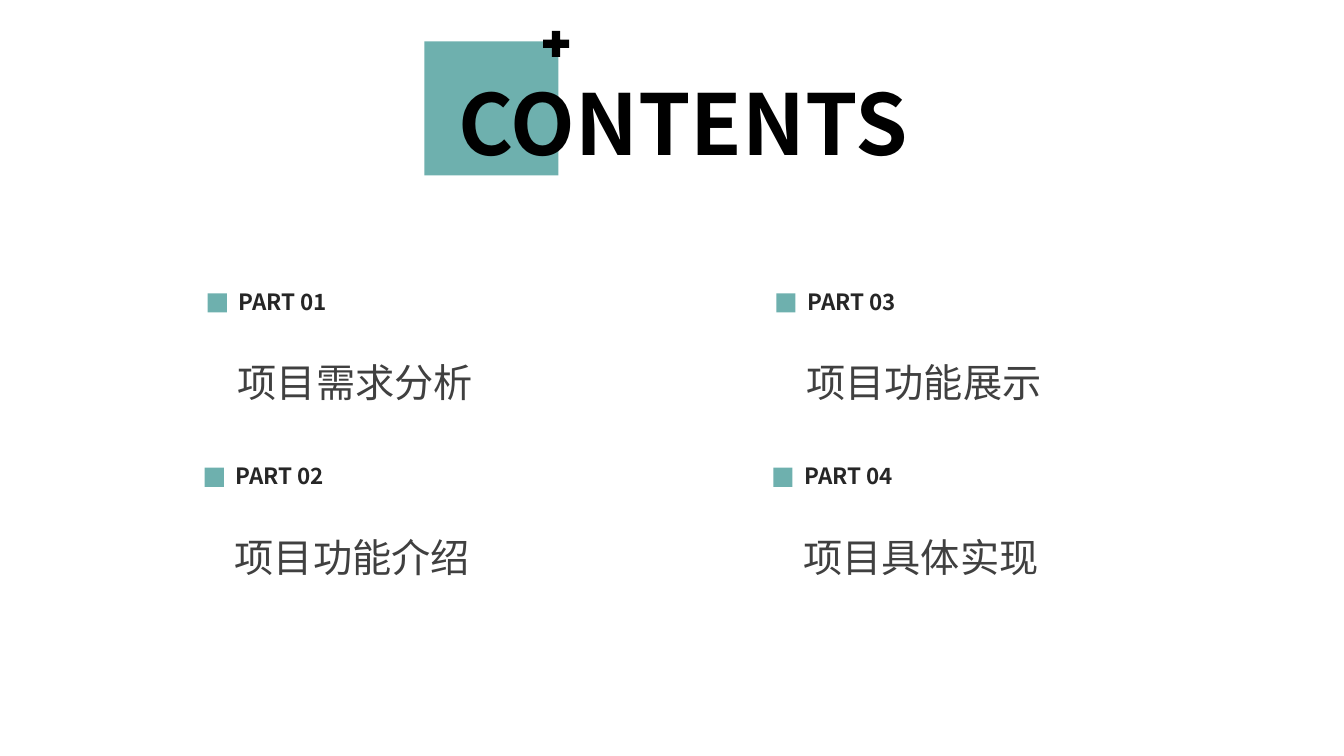
import pptx
import pptx.util
import pptx.dml.color
import pptx.enum.shapes
import pptx.enum.text
import pptx.oxml
import pptx.oxml.ns
import lxml.etree

TEAL = pptx.dml.color.RGBColor(0x6E, 0xB0, 0xAE)
BLACK = pptx.dml.color.RGBColor(0x00, 0x00, 0x00)
DARK = pptx.dml.color.RGBColor(0x26, 0x26, 0x26)
GREY = pptx.dml.color.RGBColor(0x40, 0x40, 0x40)
FONT = "Noto Sans CJK SC"
TITLE_ONLY = 5

# Grid of agenda entries, in inches
LEFT, TOP = 2.06, 2.91
COLUMN, ROW = 5.64, 1.73
ROW_SHIFT = -0.03
TOPICS = ["项目需求分析", "项目功能介绍", "项目功能展示", "项目具体实现"]
ROWS_PER_COLUMN = 2

SHAPES = pptx.enum.shapes.MSO_SHAPE
ALIGN = pptx.enum.text.PP_ALIGN


def place(part, left, top, width, height):
    part.left, part.top, part.width, part.height = map(
        pptx.util.Inches, (left, top, width, height))


def write(part, text, size, color, bold=False, align=ALIGN.LEFT, spacing=1.0):
    frame = part.text_frame
    frame.word_wrap = True
    frame.auto_size = pptx.enum.text.MSO_AUTO_SIZE.NONE
    frame.vertical_anchor = pptx.enum.text.MSO_ANCHOR.TOP
    paragraph = frame.paragraphs[0]
    paragraph.text = text
    paragraph.alignment = align
    paragraph.line_spacing = spacing
    font = paragraph.font
    font.size = pptx.util.Pt(size)
    font.bold = bold
    font.color.rgb = color
    font.name = FONT
    # East Asian glyphs use the same typeface
    latin = paragraph._p.find(".//" + pptx.oxml.ns.qn("a:latin"))
    east_asian = lxml.etree.Element(pptx.oxml.ns.qn("a:ea"), typeface=FONT)
    latin.addnext(east_asian)


def add_label(slide, box, text, size, color, **style):
    label = slide.shapes.add_textbox(*map(pptx.util.Inches, box))
    write(label, text, size, color, **style)


def add_block(slide, kind, box, color):
    block = slide.shapes.add_shape(kind, *map(pptx.util.Inches, box))
    block.shadow.inherit = False
    block.fill.solid()
    block.fill.fore_color.rgb = color
    block.line.fill.background()


def add_heading(slide):
    add_block(slide, SHAPES.RECTANGLE, (4.21, 0.41, 1.33, 1.33), TEAL)
    heading = slide.shapes.title
    place(heading, 4.45, 0.66, 5.26, 1.11)
    write(heading, "CONTENTS", 60, BLACK, bold=True)
    # Bring the heading in front of its square
    slide.shapes.element.append(heading.element)
    add_block(slide, SHAPES.MATH_PLUS, (5.34, 0.26, 0.35, 0.35), BLACK)


def add_entry(slide, index, topic):
    column, row = divmod(index, ROWS_PER_COLUMN)
    left = LEFT + column * COLUMN + row * ROW_SHIFT
    top = TOP + row * ROW
    add_label(slide, (left + 0.21, top - 0.1, 2.73, 0.37),
              f"PART {index + 1:02d}", 16, DARK, bold=True)
    add_label(slide, (left + 0.2, top + 0.13, 3.68, 1.04),
              topic, 28, GREY, align=ALIGN.JUSTIFY, spacing=2.0)
    add_block(slide, SHAPES.RECTANGLE, (left, top, 0.19, 0.19), TEAL)


def main():
    deck = pptx.Presentation()
    deck.slide_width = pptx.util.Inches(13.33)
    deck.slide_height = pptx.util.Inches(7.5)
    slide = deck.slides.add_slide(deck.slide_layouts[TITLE_ONLY])
    add_heading(slide)
    for index, topic in enumerate(TOPICS):
        add_entry(slide, index, topic)
    deck.save("out.pptx")


if __name__ == "__main__":
    main()
